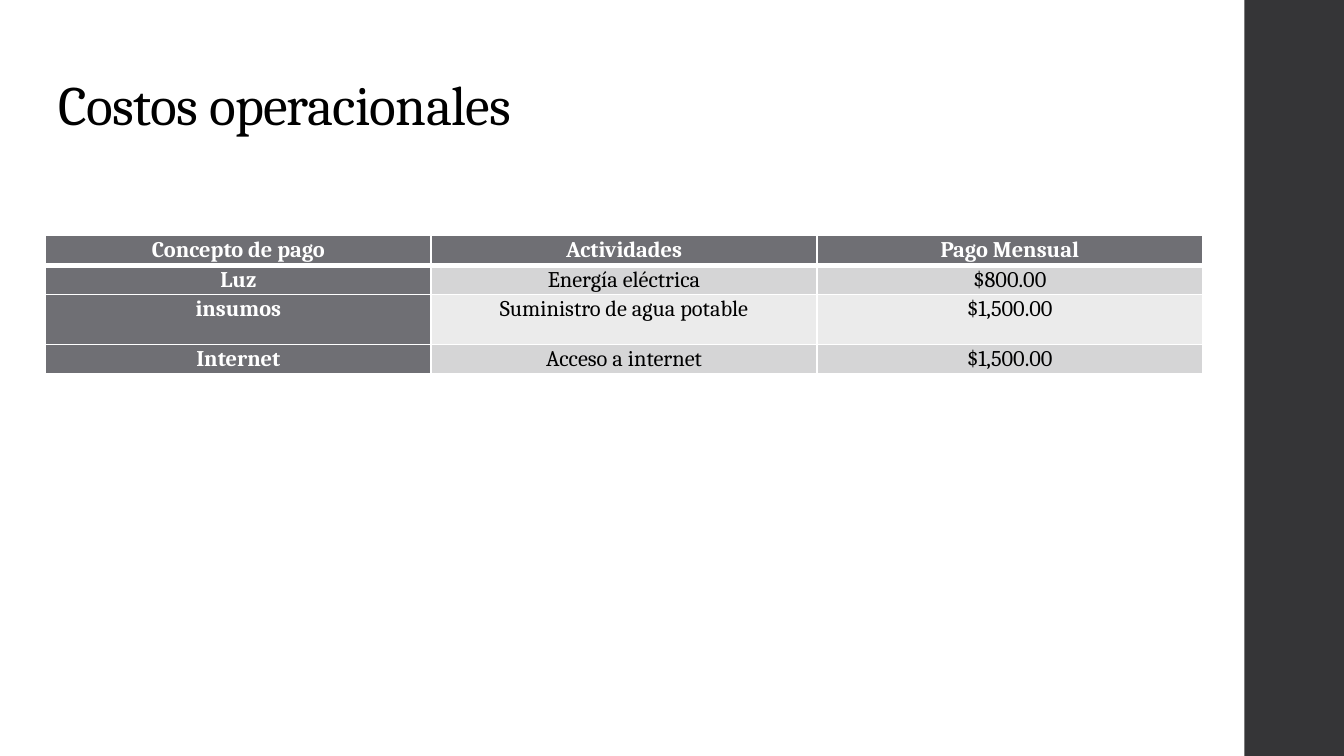
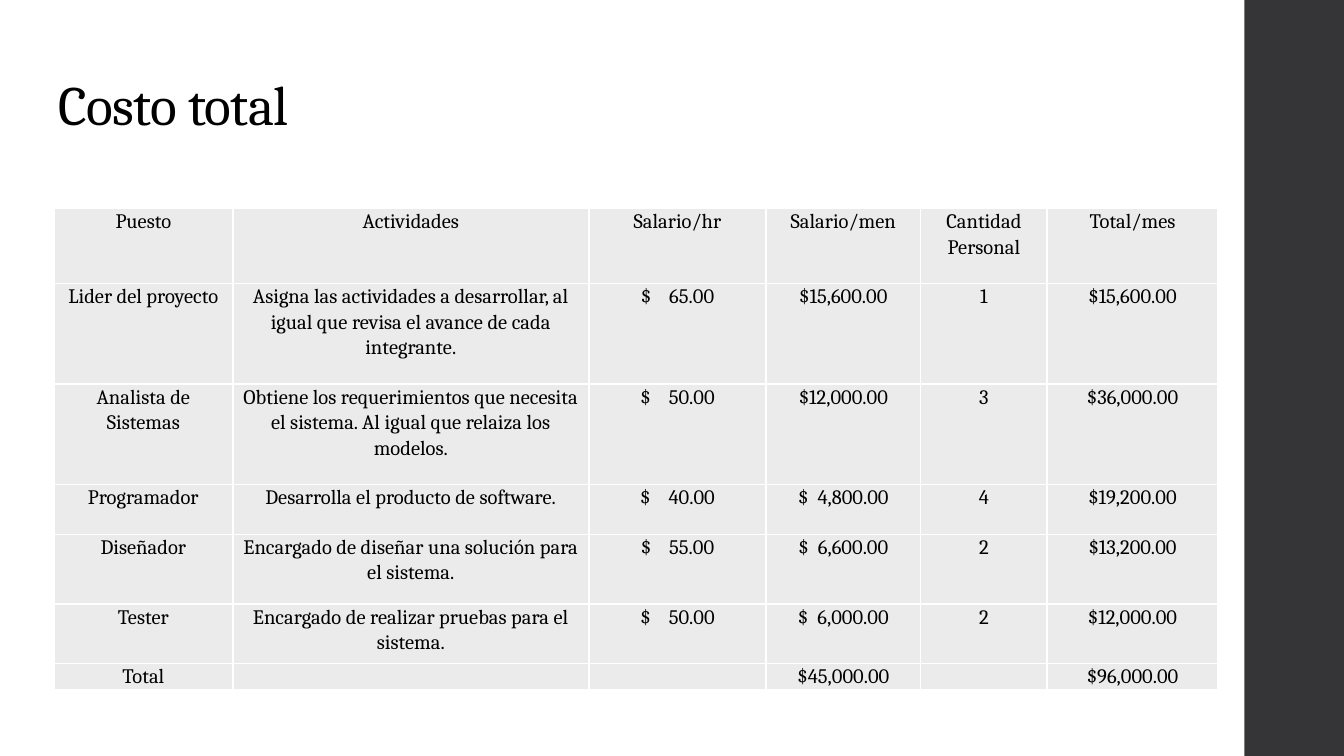
"""Build two slides with the operating and total costs of a project."""
from dataclasses import dataclass

from lxml import etree
from pptx import Presentation
from pptx.dml.color import RGBColor
from pptx.enum.shapes import MSO_SHAPE
from pptx.enum.text import MSO_ANCHOR, PP_ALIGN
from pptx.oxml.ns import qn
from pptx.util import Cm, Pt

RECTANGLE = MSO_SHAPE.RECTANGLE
MIDDLE = MSO_ANCHOR.MIDDLE
LEFT, CENTER = PP_ALIGN.LEFT, PP_ALIGN.CENTER


@dataclass(frozen=True)
class Theme:
    font: str = "Cambria"
    ink: str = "000000"
    paper: str = "FFFFFF"
    band: str = "353537"
    heading: str = "6F6F74"
    stripe: str = "D5D5D6"
    pale: str = "EBEBEB"
    title_size: float = 29.7
    title_tracking: float = -0.4
    thin: int = 1
    thick: int = 3


THEME = Theme()
SLIDE_WIDTH, SLIDE_HEIGHT = 25.4, 14.29
BAND_LEFT = 23.52
TITLE_BOX = (0.86, 1.24, 23.67, 1.6)
TITLE_INSET = 0.25
CELL_INSET = 0.18

COST_SLIDES = [
    {
        "title": "Costos operacionales",
        "corner": (0.86, 4.45),
        "columns": [7.29] * 3,
        "heights": [0.56, 0.56, 0.94, 0.56],
        "size": 12,
        "headed": True,
        "gaps": {},
        "rows": [
            ("Concepto de pago", "Actividades", "Pago Mensual"),
            ("Luz", "Energía eléctrica", "$800.00"),
            ("insumos", "Suministro de agua potable", "$1,500.00"),
            ("Internet", "Acceso a internet", "$1,500.00"),
        ],
    },
    {
        "title": "Costo total",
        "corner": (1.02, 3.94),
        "columns": [3.38, 6.73, 3.35, 2.92, 2.39, 3.23],
        "heights": [1.42, 1.9, 1.9, 0.94, 1.32, 1.12, 0.46],
        "size": 11,
        "headed": False,
        "gaps": {2: 7.2, 3: 2.4},
        "rows": [
            ("Puesto", "Actividades", "Salario/hr", "Salario/men",
             "Cantidad Personal", "Total/mes"),
            ("Lider del proyecto",
             "Asigna las actividades a desarrollar, al igual que revisa el "
             "avance de cada integrante.",
             "$ 65.00", "$15,600.00", "1", "$15,600.00"),
            ("Analista de Sistemas",
             "Obtiene los requerimientos que necesita el sistema. Al igual "
             "que relaiza los modelos.",
             "$ 50.00", "$12,000.00", "3", "$36,000.00"),
            ("Programador", "Desarrolla el producto de software.",
             "$ 40.00", "$ 4,800.00", "4", "$19,200.00"),
            ("Diseñador", "Encargado de diseñar una solución para el sistema.",
             "$ 55.00", "$ 6,600.00", "2", "$13,200.00"),
            ("Tester", "Encargado de realizar pruebas para el sistema.",
             "$ 50.00", "$ 6,000.00", "2", "$12,000.00"),
            ("Total", "", "", "$45,000.00", "", "$96,000.00"),
        ],
    },
]


def rgb(color):
    return RGBColor.from_string(color)


def write(frame, text, *, size, color=THEME.ink, bold=False, align=LEFT,
          spacing=1.0, tracking=0, gap=0):
    """Write one paragraph; gap widens the space after a leading $ sign."""
    paragraph = frame.paragraphs[0]
    paragraph.alignment = align
    paragraph.line_spacing = spacing
    if not text:
        etree.SubElement(paragraph._p, qn("a:endParaRPr"), sz=str(size * 100))
        return
    if text.startswith("$ "):
        pieces = [("$", tracking), (" ", gap), (text[2:], tracking)]
    else:
        pieces = [(text, tracking)]
    for piece, points in pieces:
        run = paragraph.add_run()
        run.text = piece
        run.font.name = THEME.font
        run.font.size = Pt(size)
        run.font.bold = bold
        run.font.color.rgb = rgb(color)
        if points:
            run.font._element.set("spc", str(round(points * 100)))


def draw_borders(cell, top, bottom):
    properties = cell._tc.get_or_add_tcPr()
    widths = {"L": THEME.thin, "R": THEME.thin, "T": top, "B": bottom}
    for side, width in widths.items():
        line = etree.SubElement(properties, qn(f"a:ln{side}"), w=str(Pt(width)))
        fill = etree.SubElement(line, qn("a:solidFill"))
        etree.SubElement(fill, qn("a:srgbClr"), val=THEME.paper)


def cell_fill(headed, row, column):
    if not headed:
        return THEME.pale
    if row == 0 or column == 0:
        return THEME.heading
    return THEME.stripe if row % 2 else THEME.pale


def add_frame(slide, title):
    band = slide.shapes.add_shape(
        RECTANGLE, Cm(BAND_LEFT), 0, Cm(SLIDE_WIDTH - BAND_LEFT), Cm(SLIDE_HEIGHT))
    band.shadow.inherit = False
    band.fill.solid()
    band.fill.fore_color.rgb = rgb(THEME.band)
    band.line.fill.background()

    heading = slide.shapes.add_textbox(*map(Cm, TITLE_BOX)).text_frame
    heading.word_wrap = True
    heading.vertical_anchor = MIDDLE
    heading.margin_left = heading.margin_right = Cm(TITLE_INSET)
    heading.margin_top = heading.margin_bottom = Cm(TITLE_INSET)
    write(heading, title, size=THEME.title_size, spacing=0.9,
          tracking=THEME.title_tracking)


def add_costs(slide, content):
    rows, columns, heights = content["rows"], content["columns"], content["heights"]
    headed = content["headed"]
    extent = (*content["corner"], sum(columns), sum(heights))
    costs = slide.shapes.add_table(
        len(rows), len(columns), *map(Cm, extent)).table
    costs.first_row = headed
    costs.first_col = headed
    costs.horz_banding = headed
    for column, width in zip(costs.columns, columns):
        column.width = Cm(width)
    for row, height in zip(costs.rows, heights):
        row.height = Cm(height)
    for r, entries in enumerate(rows):
        top = THEME.thick if headed and r == 1 else THEME.thin
        bottom = THEME.thick if headed and r == 0 else THEME.thin
        for c, entry in enumerate(entries):
            cell = costs.cell(r, c)
            background = cell_fill(headed, r, c)
            strong = background == THEME.heading
            cell.margin_left = cell.margin_right = Cm(CELL_INSET)
            cell.margin_top = cell.margin_bottom = 0
            draw_borders(cell, top, bottom)
            cell.fill.solid()
            cell.fill.fore_color.rgb = rgb(background)
            write(cell.text_frame, entry, size=content["size"], bold=strong,
                  color=THEME.paper if strong else THEME.ink, align=CENTER,
                  spacing=1.07, gap=content["gaps"].get(c, 0))


def main():
    deck = Presentation()
    deck.slide_width, deck.slide_height = Cm(SLIDE_WIDTH), Cm(SLIDE_HEIGHT)
    blank = deck.slide_layouts[6]
    for content in COST_SLIDES:
        slide = deck.slides.add_slide(blank)
        add_frame(slide, content["title"])
        add_costs(slide, content)
    deck.save("out.pptx")


if __name__ == "__main__":
    main()
